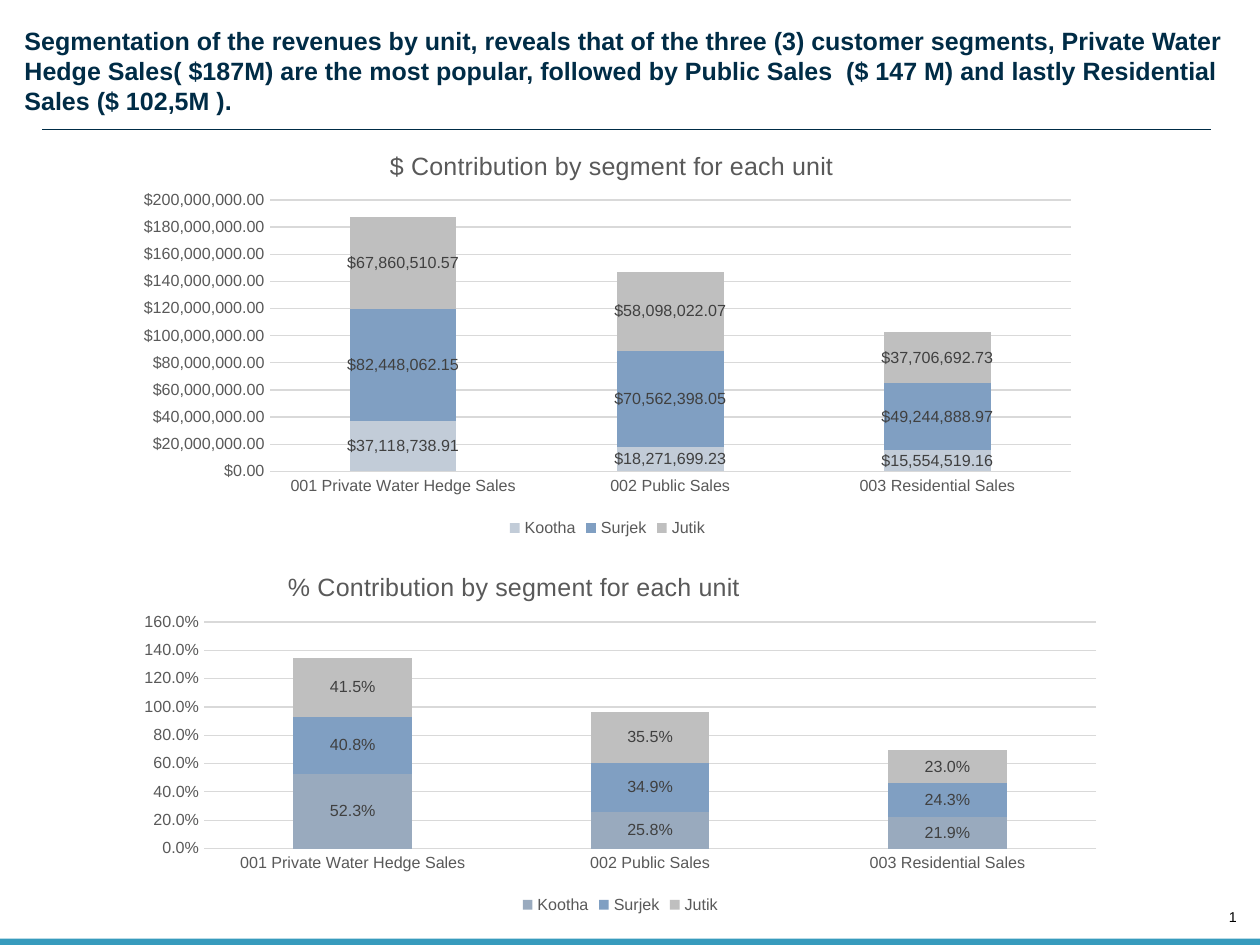
from lxml import etree
from pptx import Presentation
from pptx.chart.data import CategoryChartData
from pptx.dml.color import RGBColor
from pptx.enum.chart import XL_CHART_TYPE as ChartType, XL_LEGEND_POSITION as LegendPosition, XL_TICK_MARK as TickMark
from pptx.enum.shapes import MSO_CONNECTOR as Connector, MSO_SHAPE as Shape
from pptx.enum.text import MSO_ANCHOR as Anchor, MSO_AUTO_SIZE as AutoSize, PP_ALIGN as Align
from pptx.oxml.ns import qn
from pptx.util import Inches, Pt

COLORS = {
    "navy": "002C46", "teal": "379BBD", "black": "000000", "axis": "595959", "label": "404040",
    "grid": "D9D9D9", "pale": "C2CCD8", "slate": "99AABE", "blue": "809FC2", "gray": "BFBFBF",
}
SEGMENTS = ["001 Private Water Hedge Sales", "002 Public Sales", "003 Residential Sales"]
UNITS = ["Kootha", "Surjek", "Jutik"]
DOLLARS = '"$"#,##0.00;[Red]\\-"$"#,##0.00'
PERCENT = "0.0%"
HEADLINE = (
    "Segmentation of the revenues by unit, reveals that of the three (3) customer segments, "
    "Private Water Hedge Sales( $187M) are the most popular, followed by Public Sales  ($ 147 M) "
    "and lastly Residential Sales ($ 102,5M )."
)


class RevenueSlide:
    """Holds the slide and its style, with one method per kind of element."""

    def __init__(self, prs, font_name="Arial"):
        self.slide = prs.slides.add_slide(prs.slide_layouts[5])
        self.shapes = self.slide.shapes
        self.font_name = font_name

    def color(self, name):
        return RGBColor.from_string(COLORS[name])

    def style_font(self, font, size, color, bold=False):
        font.name, font.size, font.bold = self.font_name, Pt(size), bold
        font.color.rgb = self.color(color)

    def fill_text(self, holder, text, box, size, color, bold=False, align=Align.LEFT, anchor=Anchor.TOP):
        holder.left, holder.top, holder.width, holder.height = map(Inches, box)
        frame = holder.text_frame
        frame.margin_left = frame.margin_right = frame.margin_top = frame.margin_bottom = 0
        frame.word_wrap, frame.auto_size, frame.vertical_anchor = True, AutoSize.NONE, anchor
        frame.text = text
        paragraph = frame.paragraphs[0]
        paragraph.alignment = align
        self.style_font(paragraph.font, size, color, bold)

    def title(self, text, box):
        self.fill_text(self.shapes.title, text, box, 14, "navy", bold=True)

    def page_number(self, text, box):
        number = self.shapes.add_textbox(*map(Inches, box))
        self.fill_text(number, text, box, 8, "black", align=Align.RIGHT, anchor=Anchor.BOTTOM)

    def band(self, box, color):
        band = self.shapes.add_shape(Shape.RECTANGLE, *map(Inches, box))
        band.shadow.inherit = False
        band.fill.solid()
        band.fill.fore_color.rgb = self.color(color)
        band.line.fill.background()

    def rule(self, ends, color, width):
        rule = self.shapes.add_connector(Connector.STRAIGHT, *map(Inches, ends))
        rule.line.color.rgb = self.color(color)
        rule.line.width = Pt(width)
        etree.SubElement(rule.element.spPr, qn("a:effectLst"))

    def place(self, parent, before, **fractions):
        """Insert a manual layout ahead of the named sibling."""
        for old in parent.findall(qn("c:layout")):
            parent.remove(old)
        layout = etree.Element(qn("c:layout"))
        manual = etree.SubElement(layout, qn("c:manualLayout"))
        if "w" in fractions:
            etree.SubElement(manual, qn("c:layoutTarget"), val="inner")
        for mode in ("xMode", "yMode"):
            etree.SubElement(manual, qn(f"c:{mode}"), val="edge")
        for key, value in fractions.items():
            etree.SubElement(manual, qn(f"c:{key}"), val=str(value))
        parent.find(qn(f"c:{before}")).addprevious(layout)

    def stacked_chart(self, title, box, values, fills, number_format, top, step, title_at, plot_at):
        data = CategoryChartData(number_format=number_format)
        data.categories = SEGMENTS
        for unit, amounts in zip(UNITS, values):
            data.add_series(unit, amounts)
        chart = self.shapes.add_chart(ChartType.COLUMN_STACKED, *map(Inches, box), data).chart
        self.style_font(chart.font, 10, "black")

        chart.has_title = True
        heading = chart.chart_title
        heading.text_frame.text = title
        self.style_font(heading.text_frame.paragraphs[0].font, 14, "axis")
        heading.include_in_layout = False
        self.place(heading.element, "overlay", **title_at)

        chart.has_legend = True
        chart.legend.position = LegendPosition.BOTTOM
        chart.legend.include_in_layout = False
        self.style_font(chart.legend.font, 9, "axis")

        for axis in (chart.category_axis, chart.value_axis):
            axis.major_tick_mark = axis.minor_tick_mark = TickMark.NONE
            axis.format.line.fill.background()
            self.style_font(axis.tick_labels.font, 9, "axis")
        scale = chart.value_axis
        scale.minimum_scale, scale.maximum_scale, scale.major_unit = 0, top, step
        scale.tick_labels.number_format = number_format
        scale.tick_labels.number_format_is_linked = False
        scale.major_gridlines.format.line.color.rgb = self.color("grid")
        scale.major_gridlines.format.line.width = Pt(0.75)

        plot = chart.plots[0]
        plot.gap_width, plot.overlap, plot.vary_by_categories = 150, 100, False
        for series, fill in zip(plot.series, fills):
            series.format.fill.solid()
            series.format.fill.fore_color.rgb = self.color(fill)
            labels = series.data_labels
            labels.show_value = True
            labels.number_format, labels.number_format_is_linked = number_format, False
            self.style_font(labels.font, 9, "label")
        plot_area = chart.element.find(".//" + qn("c:plotArea"))
        self.place(plot_area, "barChart", **plot_at)


def main():
    prs = Presentation()
    prs.slide_width, prs.slide_height = Inches(9.8), Inches(7.35)
    page = RevenueSlide(prs)
    page.page_number("1", (9.32, 7.07, 0.3, 0.13))
    page.band((0, 7.3, 9.8, 0.05), "teal")
    page.title(HEADLINE, (0.19, 0.2, 9.56, 0.71))
    page.rule((0.33, 1.01, 9.42, 1.01), "navy", 0.75)
    page.stacked_chart(
        "% Contribution by segment for each unit", (0.97, 4.26, 7.71, 2.89),
        [(0.523, 0.258, 0.219), (0.408, 0.349, 0.243), (0.415, 0.355, 0.23)],
        ("slate", "blue", "gray"), PERCENT, 1.6, 0.2,
        title_at={"x": 0.16, "y": 0.05}, plot_at={"x": 0.08, "y": 0.2, "w": 0.9, "h": 0.61},
    )
    page.stacked_chart(
        "$ Contribution by segment for each unit", (0.97, 0.97, 7.51, 3.25),
        [
            (37118738.91, 18271699.23, 15554519.16),
            (82448062.15, 70562398.05, 49244888.97),
            (67860510.57, 58098022.07, 37706692.73),
        ],
        ("pale", "blue", "gray"), DOLLARS, 200_000_000, 20_000_000,
        title_at={"x": 0.27, "y": 0.05}, plot_at={"x": 0.15, "y": 0.18, "w": 0.83, "h": 0.65},
    )
    prs.save("out.pptx")


if __name__ == "__main__":
    main()
